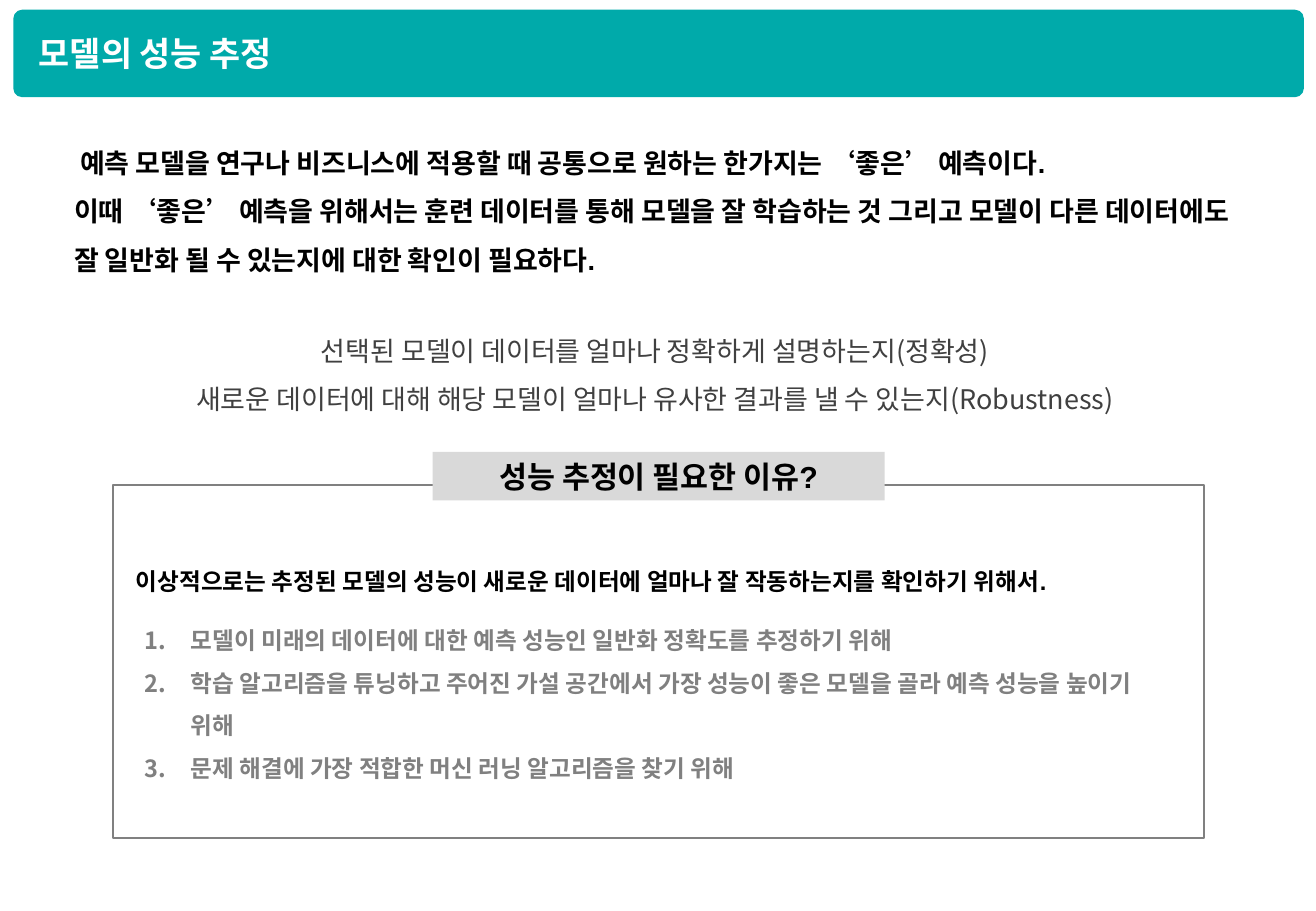
from dataclasses import dataclass

from lxml.etree import SubElement
from pptx import Presentation
from pptx.dml.color import RGBColor
from pptx.enum.shapes import MSO_SHAPE as Preset
from pptx.enum.text import MSO_ANCHOR as Anchor, MSO_AUTO_SIZE as AutoSize, PP_ALIGN as Align
from pptx.oxml.ns import qn
from pptx.shapes.autoshape import Shape
from pptx.slide import Slide
from pptx.text.text import _Paragraph as Paragraph
from pptx.util import Inches, Pt

KOREAN_FONT = "Noto Sans CJK KR"
BLACK, WHITE, GREY = "000000", "FFFFFF", "808080"
Box = tuple[float, float, float, float]


@dataclass(frozen=True)
class TextStyle:
    size: int
    color: str
    bold: bool = True
    font: str = "Arial"
    align: Align = Align.LEFT
    line_spacing: float = 1.0
    first_indent: float = 0
    numbered: bool = False
    insets: Box = (0.1, 0.05, 0.1, 0.05)


@dataclass(frozen=True)
class TextBlock:
    box: Box
    style: TextStyle
    lines: tuple[str, ...]


TITLE = TextBlock((0.14, 0.22, 5.91, 0.44), TextStyle(20, WHITE, insets=(0.18, 0.05, 0.1, 0.05)),
                  ("모델의 성능 추정",))
REASON_HEADING = TextBlock((3.56, 3.72, 3.72, 0.4), TextStyle(18, BLACK, align=Align.CENTER),
                           ("성능 추정이 필요한 이유?",))
BODY_BLOCKS = (
    TextBlock((0.53, 1.07, 9.76, 1.42),
              TextStyle(16, BLACK, line_spacing=1.5, insets=(0.08, 0, 0, 0)),
              (" 예측 모델을 연구나 비즈니스에 적용할 때 공통으로 원하는 한가지는 ‘좋은’ 예측이다.",
               "이때 ‘좋은’ 예측을 위해서는 훈련 데이터를 통해 모델을 잘 학습하는 것 그리고 모델이 "
               "다른 데이터에도 잘 일반화 될 수 있는지에 대한 확인이 필요하다.")),
    TextBlock((1.06, 2.57, 8.66, 0.91),
              TextStyle(16, "404040", bold=False, font=KOREAN_FONT, align=Align.CENTER,
                        line_spacing=1.5),
              ("선택된 모델이 데이터를 얼마나 정확하게 설명하는지(정확성)",
               "새로운 데이터에 대해 해당 모델이 얼마나 유사한 결과를 낼 수 있는지(Robustness)")),
    TextBlock((1.02, 4.62, 8.74, 0.34), TextStyle(14, BLACK),
              ("이상적으로는 추정된 모델의 성능이 새로운 데이터에 얼마나 잘 작동하는지를 확인하기 위해서.",)),
    TextBlock((1.09, 4.99, 8.43, 1.51),
              TextStyle(14, GREY, line_spacing=1.5, first_indent=0.38, numbered=True),
              ("모델이 미래의 데이터에 대한 예측 성능인 일반화 정확도를 추정하기 위해",
               "학습 알고리즘을 튜닝하고 주어진 가설 공간에서 가장 성능이 좋은 모델을 골라 "
               "예측 성능을 높이기 위해",
               "문제 해결에 가장 적합한 머신 러닝 알고리즘을 찾기 위해")),
)


def rgb(hex_color: str) -> RGBColor:
    return RGBColor.from_string(hex_color)


def add_numbering(paragraph: Paragraph, indent: float) -> None:
    """Number the paragraph with a hanging indent in inches."""
    properties = paragraph._p.get_or_add_pPr()
    properties.set("marL", str(Inches(indent)))
    properties.set("indent", str(-Inches(indent)))
    numbering_font = properties.makeelement(qn("a:buFont"), {"typeface": KOREAN_FONT})
    numbering = properties.makeelement(qn("a:buAutoNum"), {"type": "arabicPeriod"})
    character_defaults = properties.find(qn("a:defRPr"))
    character_defaults.addprevious(numbering_font)
    character_defaults.addprevious(numbering)


def format_paragraph(paragraph: Paragraph, style: TextStyle) -> None:
    paragraph.alignment = style.align
    paragraph.line_spacing = style.line_spacing
    font = paragraph.font
    font.name, font.size, font.bold = style.font, Pt(style.size), style.bold
    font.color.rgb = rgb(style.color)
    SubElement(font._element, qn("a:ea"), typeface=KOREAN_FONT)
    if style.numbered:
        add_numbering(paragraph, style.first_indent)


def write_text(shape: Shape, block: TextBlock) -> None:
    shape.left, shape.top, shape.width, shape.height = map(Inches, block.box)
    frame = shape.text_frame
    frame.word_wrap = True
    frame.auto_size = AutoSize.NONE
    frame.vertical_anchor = Anchor.TOP
    (frame.margin_left, frame.margin_top,
     frame.margin_right, frame.margin_bottom) = map(Inches, block.style.insets)
    frame.text = "\n".join(block.lines)
    for paragraph in frame.paragraphs:
        format_paragraph(paragraph, block.style)


def add_panel(slide: Slide, preset: Preset, box: Box,
              fill: str | None = None, line: str | None = None) -> Shape:
    panel = slide.shapes.add_shape(preset, *map(Inches, box))
    panel.shadow.inherit = False
    if fill:
        panel.fill.solid()
        panel.fill.fore_color.rgb = rgb(fill)
    else:
        panel.fill.background()
    if line:
        panel.line.color.rgb = rgb(line)
        panel.line.width = Pt(1)
    else:
        panel.line.fill.background()
    return panel


def main() -> None:
    presentation = Presentation()
    presentation.slide_width, presentation.slide_height = Inches(10.83), Inches(7.5)
    slide = presentation.slides.add_slide(presentation.slide_layouts[5])

    banner = add_panel(slide, Preset.ROUNDED_RECTANGLE, (0.11, 0.08, 10.62, 0.72), fill="00AAAA")
    banner.adjustments[0] = 0.1
    title = slide.shapes.title
    write_text(title, TITLE)
    banner.element.addnext(title.element)

    for block in BODY_BLOCKS:
        write_text(slide.shapes.add_textbox(*map(Inches, block.box)), block)

    add_panel(slide, Preset.RECTANGLE, (0.93, 3.99, 8.98, 2.91), line=GREY)
    reason_heading = add_panel(slide, Preset.RECTANGLE, REASON_HEADING.box, fill="D9D9D9")
    write_text(reason_heading, REASON_HEADING)

    presentation.save("out.pptx")


if __name__ == "__main__":
    main()
